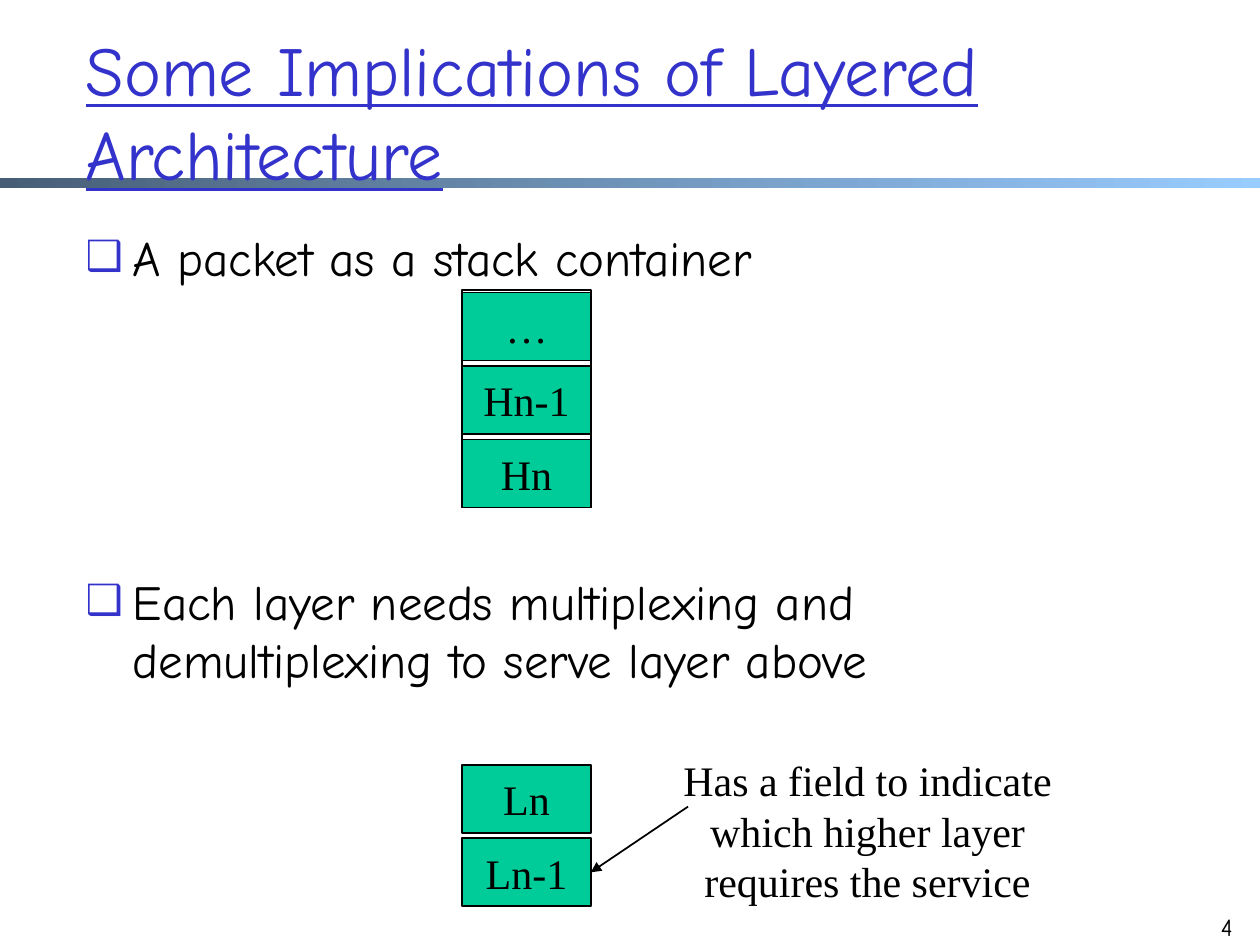
"""Build the slide on the implications of layered architecture."""
import pptx
import pptx.dml.color
import pptx.enum.dml
import pptx.enum.shapes
import pptx.enum.text
import pptx.oxml
import pptx.oxml.ns
import pptx.util
from pptx.util import Cm, Pt

SANS, SERIF = "Comic Neue", "Times New Roman"
BLACK, BLUE, GREEN = "000000", "3333CC", "00CC99"
STACK_LEFT, LAYER_WIDTH, LAYER_HEIGHT, LAYER_PITCH = 9.32, 2.59, 1.37, 1.48
ALIGN = pptx.enum.text.PP_ALIGN
ANCHOR = pptx.enum.text.MSO_ANCHOR


def color(value):
    """Return the colour for a hex string."""
    return pptx.dml.color.RGBColor.from_string(value)


def append_xml(parent, tag, **attributes):
    """Append an empty drawing element to a parent and return it."""
    element = pptx.oxml.parse_xml(f"<a:{tag} {pptx.oxml.ns.nsdecls('a')}/>")
    for name, value in attributes.items():
        element.set(name, value)
    parent.append(element)
    return element


def place(shape, left, top, width, height):
    """Move and size a shape, in centimetres."""
    shape.left, shape.top = Cm(left), Cm(top)
    shape.width, shape.height = Cm(width), Cm(height)


def write(shape, text, font_name, size, text_color=BLACK, alignment=ALIGN.LEFT, anchor=ANCHOR.TOP):
    """Fill a shape with text and format every run."""
    frame = shape.text_frame
    frame.text = text
    frame.word_wrap = True
    frame.auto_size = pptx.enum.text.MSO_AUTO_SIZE.NONE
    frame.vertical_anchor = anchor
    for paragraph in frame.paragraphs:
        paragraph.alignment = alignment
        for run in paragraph.runs:
            run.font.name = font_name
            run.font.size = Pt(size)
            run.font.color.rgb = color(text_color)


def add_bar(slide):
    """Add the gradient bar across the slide."""
    bar = slide.shapes.add_shape(pptx.enum.shapes.MSO_SHAPE.RECTANGLE, 0, Cm(3.58), Cm(25.4), Cm(0.21))
    bar.shadow.inherit = False
    bar.line.fill.background()
    bar.fill.gradient()
    bar.fill.gradient_angle = 0
    for stop, position, value in zip(bar.fill.gradient_stops, (0, 1), ("475E76", "99CCFF")):
        stop.position = position
        stop.color.rgb = color(value)
    tree = slide.shapes._spTree
    tree.remove(bar._element)
    tree.insert(2, bar._element)


def add_title(slide, text):
    """Write the underlined title."""
    title = slide.shapes.title
    place(title, 1.47, 0.64, 21.59, 3.18)
    write(title, text, SANS, 40, BLUE, anchor=ANCHOR.MIDDLE)
    title.text_frame.paragraphs[0].runs[0].font.underline = True


def add_bullets(slide, items):
    """Write the bullets, given as pairs of text and space before."""
    body = slide.placeholders[1]
    place(body, 1.47, 4.45, 21.59, 12.9)
    write(body, "\n".join(text for text, _ in items), SANS, 28)
    for paragraph, (_, space) in zip(body.text_frame.paragraphs, items):
        paragraph.space_before = Pt(space)
        properties = paragraph._p.get_or_add_pPr()
        properties.set("marL", str(Cm(0.95)))
        properties.set("indent", str(-Cm(0.95)))
        append_xml(append_xml(properties, "buClr"), "srgbClr", val=BLUE)
        append_xml(properties, "buSzPct", val="85000")
        append_xml(properties, "buChar", char="❑")


def add_box(slide, top, height, fill=None):
    """Add an outlined rectangle in the stack column."""
    box = slide.shapes.add_shape(
        pptx.enum.shapes.MSO_SHAPE.RECTANGLE, Cm(STACK_LEFT), Cm(top), Cm(LAYER_WIDTH), Cm(height))
    box.shadow.inherit = False
    box.line.color.rgb = color(BLACK)
    box.line.width = Pt(1)
    if fill:
        box.fill.solid()
        box.fill.fore_color.rgb = color(fill)
    else:
        box.fill.background()
    return box


def add_stack(slide, top, labels):
    """Add a column of labelled layers and return the lowest one."""
    for index, label in enumerate(labels):
        layer = add_box(slide, top + index * LAYER_PITCH, LAYER_HEIGHT, GREEN)
        write(layer, label, SERIF, 24, alignment=ALIGN.CENTER, anchor=ANCHOR.MIDDLE)
    return layer


def add_text(slide, position, text, font_name, size, alignment):
    """Add a wrapped text box."""
    box = slide.shapes.add_textbox(0, 0, 0, 0)
    place(box, *position)
    write(box, text, font_name, size, alignment=alignment)


def add_arrow(slide, left, top, target):
    """Add an arrow from a point to the right side of a target."""
    arrow = slide.shapes.add_connector(
        pptx.enum.shapes.MSO_CONNECTOR.STRAIGHT, Cm(left), Cm(top), Cm(left), Cm(top))
    arrow.end_connect(target, 3)
    arrow.line.color.rgb = color(BLACK)
    arrow.line.width = Pt(1)
    append_xml(arrow.line._get_or_add_ln(), "tailEnd", type="triangle")
    append_xml(arrow._element.spPr, "effectLst")


def main():
    """Build and save the presentation."""
    presentation = pptx.Presentation()
    presentation.slide_width, presentation.slide_height = Cm(25.4), Cm(19.05)
    slide = presentation.slides.add_slide(presentation.slide_layouts[1])
    add_bar(slide)
    add_title(slide, "Some Implications of Layered Architecture")
    add_bullets(slide, [
        ("A packet as a stack container", 5.6),
        ("Each layer needs multiplexing and demultiplexing to serve layer above", 163),
    ])
    add_text(slide, (23.83, 18.26, 1.27, 1.27), "4", SANS, 14, ALIGN.RIGHT)
    add_box(slide, 5.84, 4.39)
    add_stack(slide, 5.9, ["…", "Hn-1", "Hn"])
    lower_layer = add_stack(slide, 15.42, ["Ln", "Ln-1"])
    add_text(slide, (13.31, 15.09, 8.36, 3.33),
             "Has a field to indicate which higher layer requires the service", SERIF, 24, ALIGN.CENTER)
    add_arrow(slide, 13.87, 16.26, lower_layer)
    presentation.save("out.pptx")


if __name__ == "__main__":
    main()
